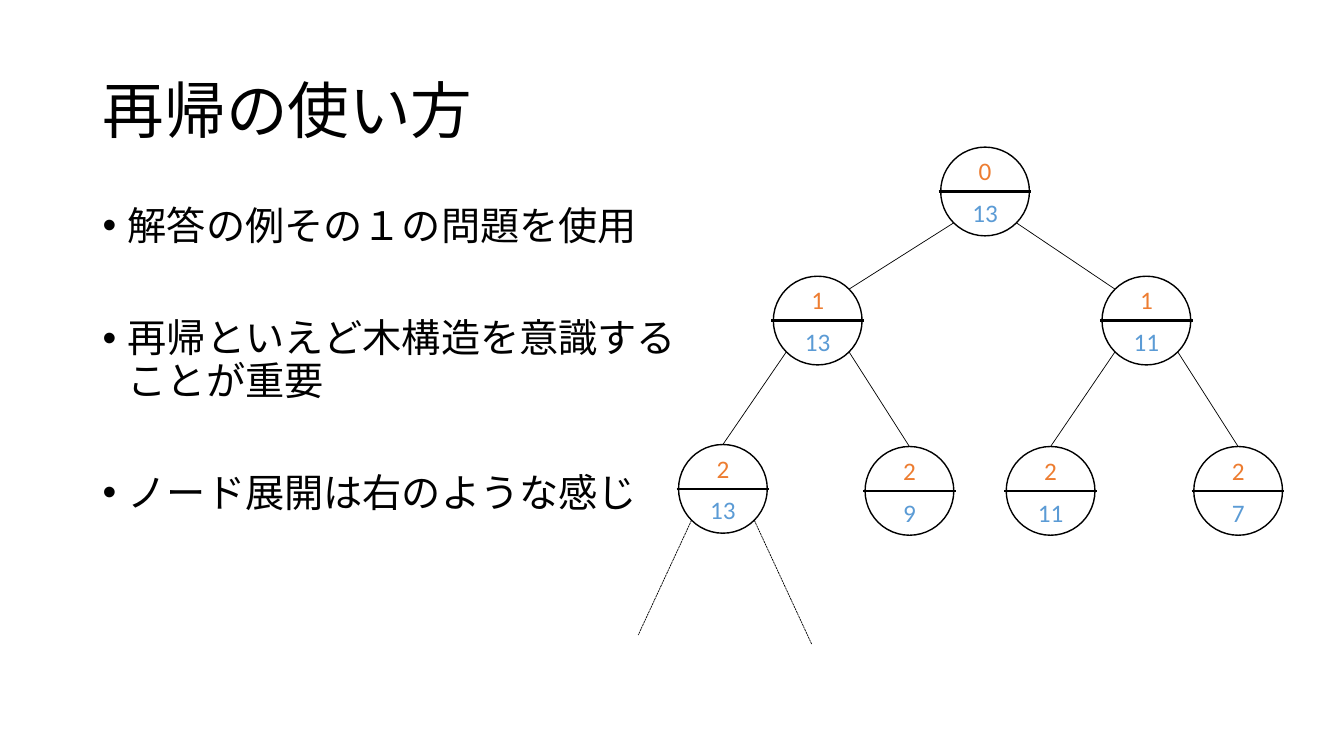
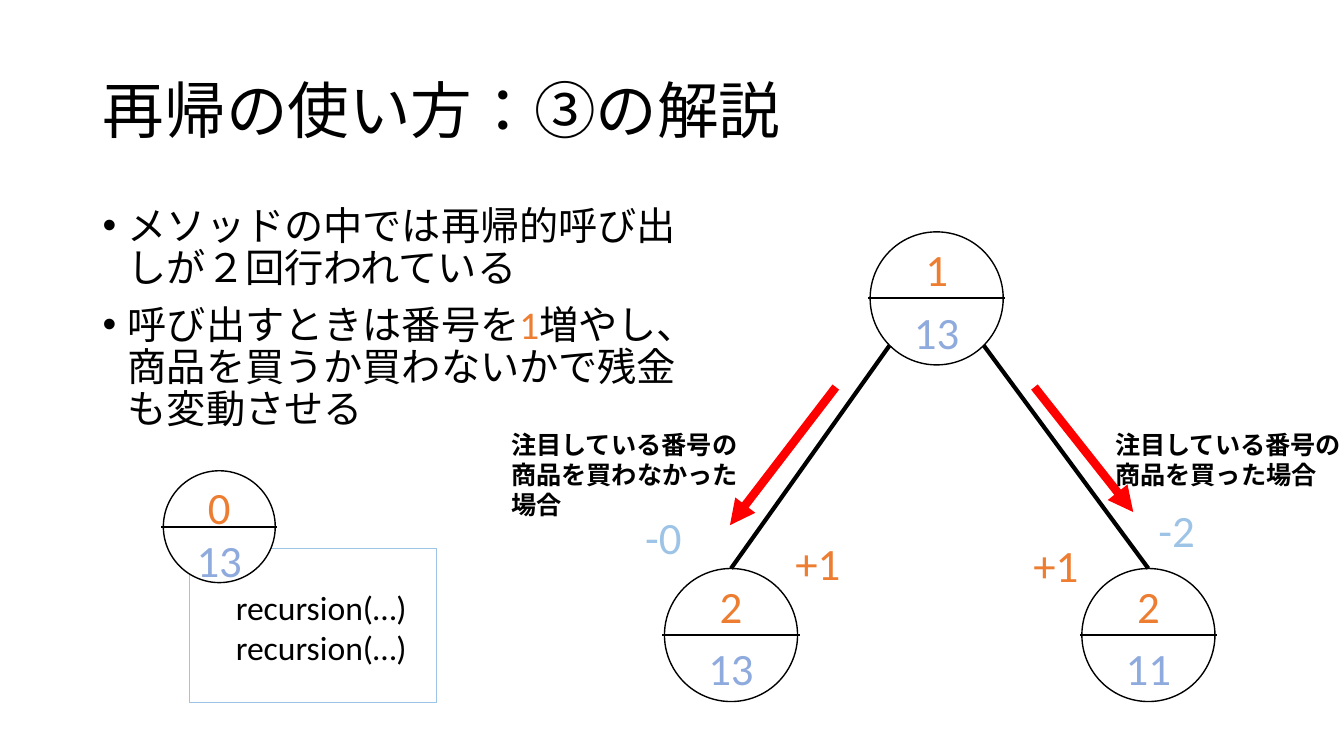
"""Build two slides that explain recursion with node trees."""
import math

import lxml.etree
import pptx
import pptx.dml.color
import pptx.enum.dml
import pptx.enum.lang
import pptx.enum.shapes
import pptx.enum.text
import pptx.oxml.ns
import pptx.util

Inches = pptx.util.Inches
Pt = pptx.util.Pt
Shapes = pptx.enum.shapes.MSO_SHAPE
Align = pptx.enum.text.PP_ALIGN

FONT = "Calibri"
BLACK, WHITE, RED = "000000", "FFFFFF", "FF0000"
ORANGE, BLUE, PALE_BLUE, SOFT_BLUE = "ED7D31", "5B9BD5", "9DC3E6", "8FAADC"

TREE_SLIDE = {
    "title": "再帰の使い方",
    "bullets": [
        [("解答の例その１の問題を使用", BLACK)],
        [("再帰といえど木構造を意識することが重要", BLACK)],
        [("ノード展開は右のような感じ", BLACK)],
    ],
    "bullet_gap": 50,
    "nodes": {
        "root": (9.33, 1.46, "0", "13"),
        "left": (7.67, 2.74, "1", "13"),
        "right": (10.93, 2.74, "1", "11"),
        "left-left": (6.73, 4.41, "2", "13"),
        "left-right": (8.58, 4.43, "2", "9"),
        "right-left": (9.98, 4.43, "2", "11"),
        "right-right": (11.84, 4.43, "2", "7"),
    },
    "edges": [
        ("root", "left", "corner"),
        ("root", "right", "corner"),
        ("left", "left-left", "top"),
        ("left", "left-right", "top"),
        ("right", "right-left", "top"),
        ("right", "right-right", "top"),
    ],
    "open_ends": [("left-left", (6.33, 6.3)), ("left-left", (8.05, 6.39))],
}

CALL_SLIDE = {
    "title": "再帰の使い方：③の解説",
    "bullets": [
        [("メソッドの中では再帰的呼び出しが２回行われている", BLACK)],
        [("呼び出すときは番号を", BLACK), ("1", ORANGE),
         ("増やし、商品を買うか買わないかで残金も変動させる", BLACK)],
    ],
    "bullet_gap": 10,
    "caller": (1.62, 4.67, "0", "13"),
    "code": ["recursion(…)", "recursion(…)"],
    "nodes": {
        "parent": (8.63, 2.3, "1", "13"),
        "skip": (6.59, 5.64, "2", "13"),
        "buy": (10.73, 5.64, "2", "11"),
    },
    "edges": [("parent", "buy", "top"), ("parent", "skip", "top")],
    "arrows": [((8.29, 3.84), (7.24, 5.21)), ((10.26, 3.84), (11.24, 5.08))],
    "cases": [
        (5.07, "注目している番号の商品を買わなかった場合"),
        (11.06, "注目している番号の商品を買った場合"),
    ],
    "changes": [
        (11.39, 4.94, "-2", PALE_BLUE),
        (7.79, 5.27, "+1", ORANGE),
        (10.15, 5.29, "+1", ORANGE),
        (6.3, 5.01, "-0", PALE_BLUE),
    ],
}


def color(value):
    """Return a colour object for a hex string."""
    return pptx.dml.color.RGBColor.from_string(value)


def add_run(paragraph, text, size, text_color, bold=False):
    """Add one formatted run to a paragraph."""
    run = paragraph.add_run()
    run.text = text
    run.font.name = FONT
    run.font.size = Pt(size)
    run.font.bold = bold
    run.font.color.rgb = color(text_color)
    run.font.language_id = pptx.enum.lang.MSO_LANGUAGE_ID.JAPANESE


def add_text(slide, box, lines, size, text_color=BLACK, bold=False,
             align=Align.LEFT, side_margin=0.1):
    """Add a wrapping text box with one paragraph for each line."""
    frame = slide.shapes.add_textbox(*map(Inches, box)).text_frame
    frame.word_wrap = True
    frame.margin_left = frame.margin_right = Inches(side_margin)
    for index, line in enumerate(lines):
        paragraph = frame.add_paragraph() if index else frame.paragraphs[0]
        paragraph.alignment = align
        add_run(paragraph, line, size, text_color, bold)


def add_box(slide, preset, box, line_color):
    """Add a white outlined shape without a shadow."""
    shape = slide.shapes.add_shape(preset, *map(Inches, box))
    shape.shadow.inherit = False
    shape.fill.solid()
    shape.fill.fore_color.rgb = color(WHITE)
    shape.line.color.rgb = color(line_color)
    shape.line.width = Pt(1)


def add_line(slide, start, end, width, line_color=BLACK, dashed=False, arrow=False):
    """Add a straight line, optionally dashed or with an arrowhead at its end."""
    line = slide.shapes.add_connector(
        pptx.enum.shapes.MSO_CONNECTOR.STRAIGHT, *map(Inches, start + end))
    line.line.color.rgb = color(line_color)
    line.line.width = Pt(width)
    if dashed:
        line.line.dash_style = pptx.enum.dml.MSO_LINE.SQUARE_DOT
    properties = line.element.spPr
    if arrow:
        outline = properties.find(pptx.oxml.ns.qn("a:ln"))
        lxml.etree.SubElement(outline, pptx.oxml.ns.qn("a:tailEnd"), type="triangle")
    lxml.etree.SubElement(properties, pptx.oxml.ns.qn("a:effectLst"))


def add_node(slide, node, diameter, size, lower_color):
    """Add a circle split in two, with one number in each half."""
    left, top, upper, lower = node
    half = diameter / 2
    middle = top + half
    add_box(slide, Shapes.OVAL, (left, top, diameter, diameter), BLACK)
    add_line(slide, (left - 0.02, middle), (left + diameter + 0.02, middle), 1.5)
    for text, text_top, text_color in (
        (upper, top + 0.04 * diameter, ORANGE),
        (lower, middle + 0.01, lower_color),
    ):
        add_text(slide, (left, text_top, diameter, half), [text], size,
                 text_color, align=Align.CENTER)


def corner(node, diameter, side, direction):
    """Return the point on a node's circle at 45 degrees."""
    radius = diameter / 2
    offset = radius * math.sqrt(0.5)
    return (node[0] + radius + side * offset, node[1] + radius + direction * offset)


def add_edges(slide, nodes, edges, diameter, width):
    """Join each parent's lower corner to the child's top or facing corner."""
    for parent_name, child_name, landing in edges:
        parent, child = nodes[parent_name], nodes[child_name]
        side = math.copysign(1, child[0] - parent[0])
        if landing == "top":
            end = (child[0] + diameter / 2, child[1])
        else:
            end = corner(child, diameter, -side, -1)
        add_line(slide, corner(parent, diameter, side, 1), end, width)


def add_bullets(slide, bullets, gap):
    """Add the bullet list at the left of the slide."""
    box = slide.shapes.add_textbox(Inches(0.92), Inches(2), Inches(6.24), Inches(4.76))
    frame = box.text_frame
    frame.word_wrap = True
    for index, runs in enumerate(bullets):
        paragraph = frame.add_paragraph() if index else frame.paragraphs[0]
        paragraph.line_spacing = 0.9
        paragraph.space_before = Pt(gap if index else 10)
        properties = paragraph._p.get_or_add_pPr()
        properties.set("marL", str(Inches(0.25)))
        properties.set("indent", str(-Inches(0.25)))
        properties.set("hangingPunct", "1")
        lxml.etree.SubElement(properties, pptx.oxml.ns.qn("a:buFont"), typeface="Arial")
        lxml.etree.SubElement(properties, pptx.oxml.ns.qn("a:buChar"), char="•")
        for text, text_color in runs:
            add_run(paragraph, text, 28, text_color)


def add_slide(presentation, content):
    """Add a slide with the shared title style and bullet list."""
    slide = presentation.slides.add_slide(presentation.slide_layouts[5])
    title = slide.shapes.title
    title.left, title.top = Inches(0.92), Inches(0.4)
    title.width, title.height = Inches(11.5), Inches(1.45)
    frame = title.text_frame
    frame.auto_size = pptx.enum.text.MSO_AUTO_SIZE.NONE
    frame.vertical_anchor = pptx.enum.text.MSO_ANCHOR.MIDDLE
    paragraph = frame.paragraphs[0]
    paragraph.alignment = Align.LEFT
    paragraph.line_spacing = 0.9
    add_run(paragraph, content["title"], 44, BLACK)
    add_bullets(slide, content["bullets"], content["bullet_gap"])
    return slide


def build_tree_slide(presentation, content):
    """Build the slide that expands the whole tree."""
    slide = add_slide(presentation, content)
    diameter = 0.88
    nodes = content["nodes"]
    for node in nodes.values():
        add_node(slide, node, diameter, 18, BLUE)
    add_edges(slide, nodes, content["edges"], diameter, 0.5)
    for name, end in content["open_ends"]:
        side = math.copysign(1, end[0] - nodes[name][0] - diameter / 2)
        add_line(slide, corner(nodes[name], diameter, side, 1), end, 0.5, dashed=True)


def build_call_slide(presentation, content):
    """Build the slide that explains the two recursive calls."""
    slide = add_slide(presentation, content)
    diameter = 1.32
    add_box(slide, Shapes.RECTANGLE, (1.88, 5.44, 2.45, 1.53), PALE_BLUE)
    add_node(slide, content["caller"], 1.11, 32, SOFT_BLUE)
    add_text(slide, (2.24, 5.77, 2.87, 0.77), content["code"], 24)
    for node in content["nodes"].values():
        add_node(slide, node, diameter, 32, SOFT_BLUE)
    add_edges(slide, content["nodes"], content["edges"], diameter, 3)
    for start, end in content["arrows"]:
        add_line(slide, start, end, 6, RED, arrow=True)
    for left, text in content["cases"]:
        add_text(slide, (left, 4.21, 2.27, 0.71), [text], 18, bold=True, side_margin=0)
    for left, top, text, text_color in content["changes"]:
        add_text(slide, (left, top, 1.17, 0.64), [text], 32, text_color)


def main():
    """Create and save the presentation."""
    presentation = pptx.Presentation()
    presentation.slide_width = Inches(13.33)
    presentation.slide_height = Inches(7.5)
    build_tree_slide(presentation, TREE_SLIDE)
    build_call_slide(presentation, CALL_SLIDE)
    presentation.save("out.pptx")


if __name__ == "__main__":
    main()
